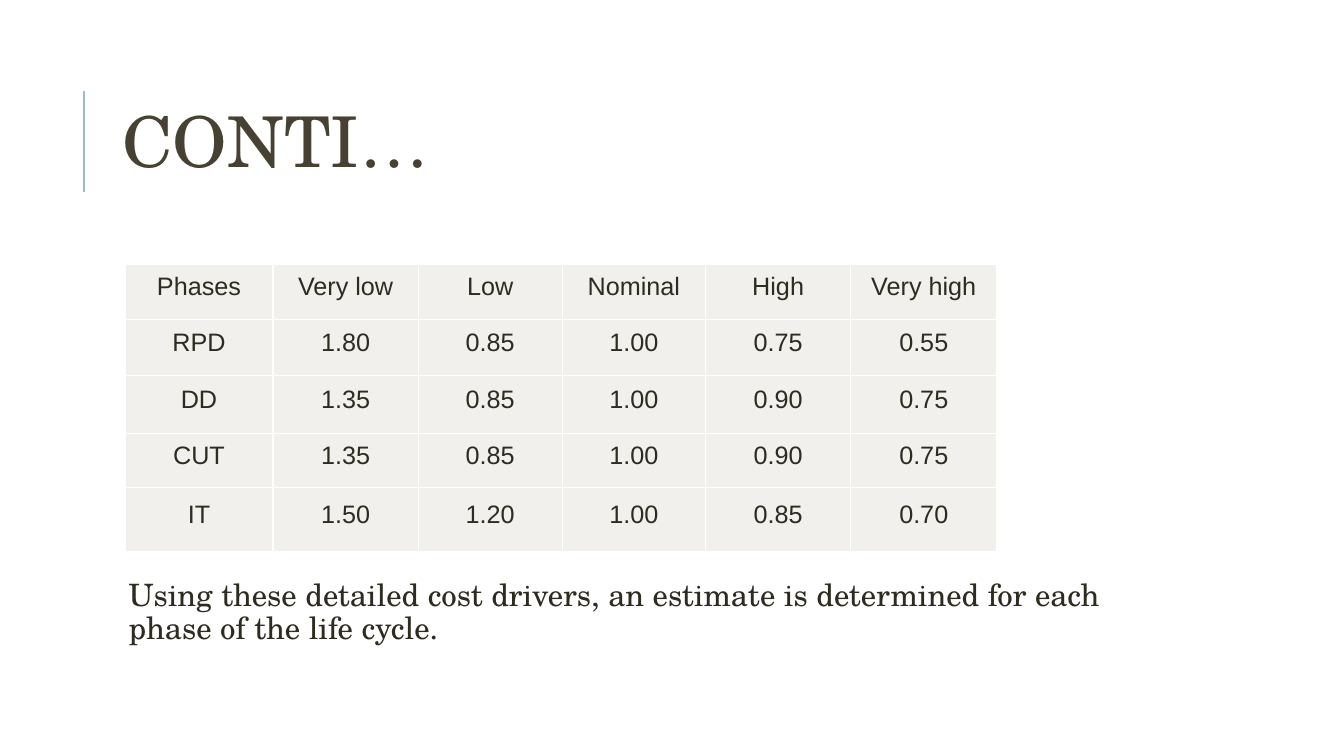
import pptx
import pptx.dml.color
import pptx.enum.shapes
import pptx.enum.text
import pptx.oxml
import pptx.oxml.ns
import pptx.util

Cm = pptx.util.Cm
Pt = pptx.util.Pt
RGBColor = pptx.dml.color.RGBColor
ANCHOR = pptx.enum.text.MSO_ANCHOR

TITLE = "CONTI…"
NOTE = ("Using these detailed cost drivers, an estimate is determined "
        "for each phase of the life cycle.")
COST_DRIVERS = [
    ("Phases", "Very low", "Low", "Nominal", "High", "Very high"),
    ("RPD", "1.80", "0.85", "1.00", "0.75", "0.55"),
    ("DD", "1.35", "0.85", "1.00", "0.90", "0.75"),
    ("CUT", "1.35", "0.85", "1.00", "0.90", "0.75"),
    ("IT", "1.50", "1.20", "1.00", "0.85", "0.70"),
]
COL_WIDTHS = [3.73, 3.66, 3.63, 3.61, 3.66, 3.68]
ROW_HEIGHTS = [1.4, 1.42, 1.45, 1.37, 1.6]

SERIF, SANS = "TeX Gyre Schola", "Arial"
TITLE_COLOR = RGBColor(0x46, 0x41, 0x32)
TEXT_COLOR = RGBColor(0x2E, 0x2B, 0x21)
ACCENT = RGBColor(0x9C, 0xBE, 0xBD)
CELL_FILL = RGBColor(0xF1, 0xF0, 0xEC)
BORDER = RGBColor(0xFF, 0xFF, 0xFF)


def style(p, text, font, size, color, spacing):
    p.text = text
    p.font.name = font
    p.font.size = Pt(size)
    p.font.color.rgb = color
    p.line_spacing = spacing


def add_text(slide, box, inset, anchor, *text_style):
    tf = slide.shapes.add_textbox(*map(Cm, box)).text_frame
    tf.word_wrap = True
    tf.vertical_anchor = anchor
    tf.margin_left = tf.margin_right = Cm(inset)
    style(tf.paragraphs[0], *text_style)


def add_borders(cell):
    tc_pr = cell._tc.get_or_add_tcPr()
    for i, side in enumerate(("lnL", "lnR", "lnT", "lnB")):
        tc_pr.insert(i, pptx.oxml.parse_xml(
            f'<a:{side} {pptx.oxml.ns.nsdecls("a")} w="{Pt(1)}"><a:solidFill>'
            f'<a:srgbClr val="{BORDER}"/></a:solidFill></a:{side}>'))


def add_cost_table(slide):
    table = slide.shapes.add_table(
        len(ROW_HEIGHTS), len(COL_WIDTHS), Cm(3.15), Cm(6.65),
        Cm(sum(COL_WIDTHS)), Cm(sum(ROW_HEIGHTS))).table
    for column, width in zip(table.columns, COL_WIDTHS):
        column.width = Cm(width)
    for row, height, values in zip(table.rows, ROW_HEIGHTS, COST_DRIVERS):
        row.height = Cm(height)
        for cell, value in zip(row.cells, values):
            cell.fill.solid()
            cell.fill.fore_color.rgb = CELL_FILL
            cell.vertical_anchor = ANCHOR.MIDDLE
            cell.margin_left = cell.margin_right = Cm(0.03)
            cell.margin_top = cell.margin_bottom = 0
            p = cell.text_frame.paragraphs[0]
            style(p, value, SANS, 18, TEXT_COLOR, 0.5)
            p.alignment = pptx.enum.text.PP_ALIGN.CENTER
            add_borders(cell)


def main():
    prs = pptx.Presentation()
    prs.slide_width, prs.slide_height = Cm(33.87), Cm(19.05)
    slide = prs.slides.add_slide(prs.slide_layouts[6])

    rule = slide.shapes.add_connector(
        pptx.enum.shapes.MSO_CONNECTOR.STRAIGHT,
        Cm(2.12), Cm(4.83), Cm(2.12), Cm(2.29))
    rule.line.color.rgb = ACCENT
    rule.line.width = Pt(1.5)
    rule._element.spPr.append(pptx.oxml.parse_xml(
        f'<a:effectLst {pptx.oxml.ns.nsdecls("a")}/>'))

    add_text(slide, (2.84, 1.63, 27, 4.17), 0.25, ANCHOR.MIDDLE,
             TITLE, SERIF, 50, TITLE_COLOR, 0.8)
    add_text(slide, (2.84, 14.48, 27, 2), 0.4, ANCHOR.TOP,
             NOTE, SERIF, 22, TEXT_COLOR, 0.9)
    add_cost_table(slide)
    prs.save("out.pptx")


if __name__ == "__main__":
    main()
